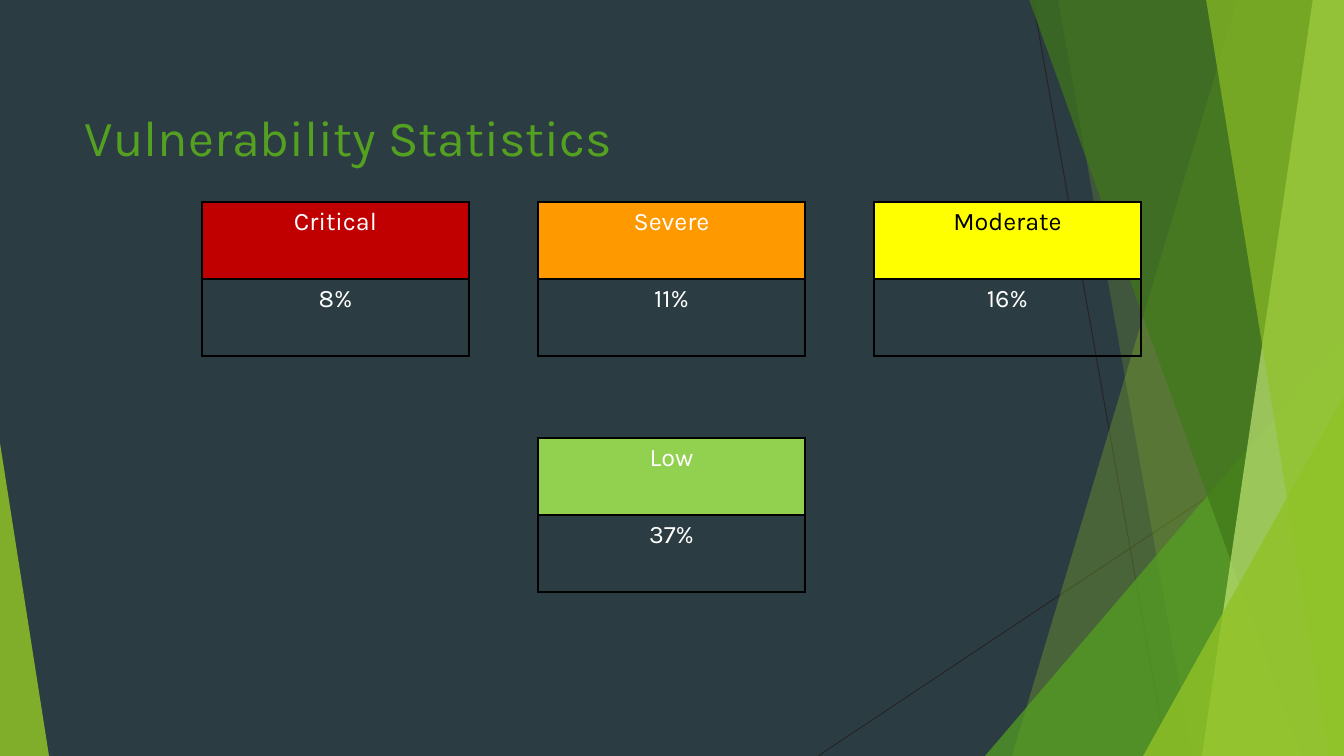
from dataclasses import dataclass

from pptx import Presentation
from pptx import util as u
from pptx.dml.color import RGBColor
from pptx.enum import shapes, text
from pptx.oxml import parse_xml
from pptx.oxml.ns import nsdecls, qn

SCALE = 914400 / 100.8
WIDTH, HEIGHT = 1344, 756


@dataclass(frozen=True)
class Theme:
    """Colours, font and type sizes of the slide."""
    background: str = "2C3C43"
    lime: str = "90C226"
    green: str = "54A021"
    forest: str = "3F7819"
    pale: str = "C0E474"
    hairline: str = "262626"
    white: str = "FFFFFF"
    black: str = "000000"
    critical: str = "C00000"
    severe: str = "FF9900"
    moderate: str = "FFFF00"
    low: str = "92D050"
    font: str = "Karla"
    title_size: int = 36
    body_size: int = 18


THEME = Theme()


def px(pixels):
    """Turn pixels into EMU."""
    return u.Emu(round(pixels * SCALE))


def rgb(value):
    """Turn a hex string into a colour."""
    return RGBColor.from_string(value)


def paint(shape, color, opacity):
    """Give a shape a translucent fill, no outline and no shadow."""
    shape.shadow.inherit = False
    shape.line.fill.background()
    shape.fill.solid()
    shape.fill.fore_color.rgb = rgb(color)
    color_element = shape.fill._xPr.find(qn("a:solidFill"))[0]
    color_element.append(parse_xml(f'<a:alpha {nsdecls("a")} val="{opacity * 1000}"/>'))


def add_hairline(slide, start, end):
    """Draw a thin straight line."""
    line = slide.shapes.add_connector(
        shapes.MSO_CONNECTOR.STRAIGHT, *map(px, (*start, *end)))
    line.line.color.rgb = rgb(THEME.hairline)
    line.line.width = u.Pt(0.75)
    line._element.spPr.append(parse_xml(f'<a:effectLst {nsdecls("a")}/>'))


def add_band(slide, top_left, bottom_left, color, opacity):
    """Draw a full-height band that reaches the right edge."""
    builder = slide.shapes.build_freeform(top_left, -1, scale=SCALE)
    builder.add_line_segments([(WIDTH, -1), (WIDTH, HEIGHT), (bottom_left, HEIGHT)])
    paint(builder.convert_to_shape(), color, opacity)


def add_corner(slide, left, top, width, apex, color, opacity):
    """Draw a triangle that stands on the bottom edge."""
    triangle = slide.shapes.add_shape(
        shapes.MSO_SHAPE.ISOSCELES_TRIANGLE,
        px(left), px(top), px(width), px(HEIGHT - top))
    triangle.adjustments[0] = apex
    paint(triangle, color, opacity)


def write(frame, content, *, size, color, align=text.PP_ALIGN.LEFT, spacing=None):
    """Write one formatted paragraph into a text frame."""
    paragraph = frame.paragraphs[0]
    paragraph.alignment = align
    paragraph.line_spacing = spacing
    run = paragraph.add_run()
    run.text = content
    run.font.name = THEME.font
    run.font.size = u.Pt(size)
    run.font.color.rgb = rgb(color)


def add_title(slide, content):
    """Add the slide title."""
    frame = slide.shapes.add_textbox(px(75), px(68), px(948), px(145)).text_frame
    frame.word_wrap = True
    frame.vertical_anchor = text.MSO_ANCHOR.MIDDLE
    write(frame, content, size=THEME.title_size, color=THEME.green, spacing=0.9)


def add_borders(cell):
    """Give a cell a thin black border on every side."""
    properties = cell._tc.get_or_add_tcPr()
    for index, side in enumerate(("lnL", "lnR", "lnT", "lnB")):
        properties.insert(index, parse_xml(
            f'<a:{side} {nsdecls("a")} w="12700"><a:solidFill>'
            f'<a:srgbClr val="{THEME.black}"/></a:solidFill></a:{side}>'))


def add_severity(slide, left, top, name, share, color, name_color=THEME.white):
    """Add a two-row table with a severity and its share."""
    table = slide.shapes.add_table(2, 1, px(left), px(top), px(267), px(154)).table
    table.first_row = table.horz_banding = False
    name_cell, share_cell = table.cell(0, 0), table.cell(1, 0)
    name_cell.fill.solid()
    name_cell.fill.fore_color.rgb = rgb(color)
    share_cell.fill.background()
    for cell, content, ink in ((name_cell, name, name_color),
                               (share_cell, share, THEME.white)):
        add_borders(cell)
        write(cell.text_frame, content, size=THEME.body_size, color=ink,
              align=text.PP_ALIGN.CENTER)


def add_backdrop(slide):
    """Draw the background and its green facets."""
    slide.background.fill.solid()
    slide.background.fill.fore_color.rgb = rgb(THEME.background)
    add_hairline(slide, (1033, 0), (1167, HEIGHT))
    add_hairline(slide, (WIDTH, 406), (818, HEIGHT))
    add_band(slide, 1238, 1012, THEME.lime, 30)
    add_band(slide, 1058, 1192, THEME.lime, 20)
    add_corner(slide, 985, 336, 359, 1, THEME.green, 72)
    add_band(slide, 1029, 1301, THEME.forest, 70)
    add_band(slide, 1313, 1202, THEME.pale, 70)
    add_band(slide, 1206, 1329, THEME.lime, 65)
    add_corner(slide, 1143, 396, 201, 1, THEME.lime, 80)
    add_corner(slide, 0, 443, 49, 0, THEME.lime, 85)


def main():
    """Build and save the slide."""
    presentation = Presentation()
    presentation.slide_width, presentation.slide_height = px(WIDTH), px(HEIGHT)
    slide = presentation.slides.add_slide(presentation.slide_layouts[6])
    add_backdrop(slide)
    add_title(slide, "Vulnerability Statistics")
    first, middle, last = (202 + 336 * column for column in range(3))
    upper, lower = 202, 438
    add_severity(slide, first, upper, "Critical", "8%", THEME.critical)
    add_severity(slide, middle, upper, "Severe", "11%", THEME.severe)
    add_severity(slide, last, upper, "Moderate", "16%", THEME.moderate, THEME.black)
    add_severity(slide, middle, lower, "Low", "37%", THEME.low)
    presentation.save("out.pptx")


main()
